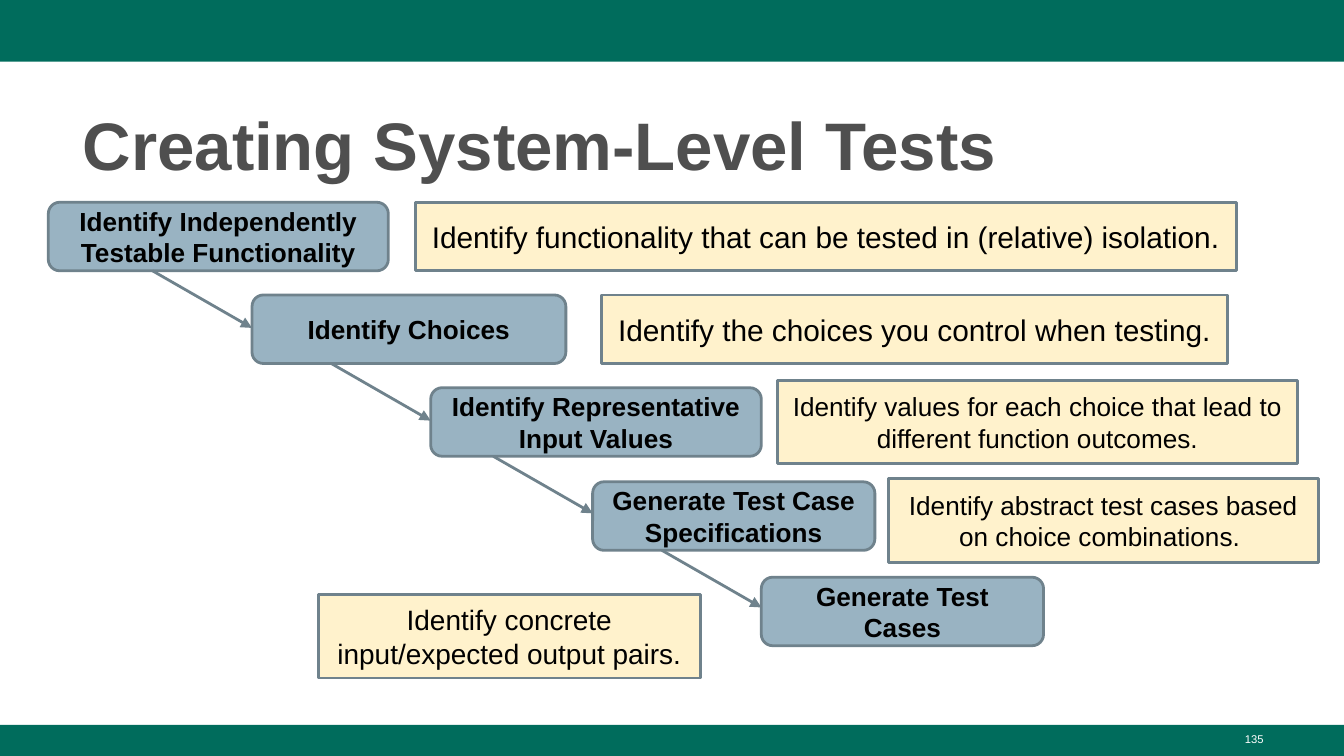
import pptx
import pptx.util
import pptx.dml.color
import pptx.enum.shapes
import pptx.enum.text
import pptx.oxml.ns
import lxml.etree

Kind = pptx.enum.shapes.MSO_SHAPE
Align = pptx.enum.text.PP_ALIGN
Anchor = pptx.enum.text.MSO_ANCHOR

# Content: 200 px to the inch
WIDE, HIGH = 2000, 1125
TITLE = "Creating System-Level Tests"
NUMBER = "135"
GREEN, BLUE, CREAM, EDGE = "006C5C", "99B3C2", "FFF2CC", "6F828C"
STEP_H = 102
RUN, DROP = 148, 85

# Steps: text, left, top, width
STEPS = [
    ("Identify Independently Testable Functionality", 72, 301, 506),
    ("Identify Choices", 375, 439, 467),
    ("Identify Representative Input Values", 641, 577, 492),
    ("Generate Test Case Specifications", 882, 717, 420),
    ("Generate Test Cases", 1133, 859, 420),
]
# Notes: text, box, text size
NOTES = [
    ("Identify functionality that can be tested in (relative) isolation.",
     (618, 301, 1222, 102), 16),
    ("Identify the choices you control when testing.",
     (895, 439, 932, 102), 16),
    ("Identify values for each choice that lead to different function outcomes.",
     (1157, 566, 774, 124), 14),
    ("Identify abstract test cases based on choice combinations. ",
     (1322, 712, 640, 125), 14),
    ("Identify concrete input/expected output pairs.",
     (474, 885, 568, 124), 15),
]


def px(n):
    return pptx.util.Emu(n * 4572)


def rgb(code):
    return pptx.dml.color.RGBColor.from_string(code)


def write(shape, text, size, color, bold=False, align=Align.CENTER,
          anchor=Anchor.MIDDLE, pad=20):
    frame = shape.text_frame
    frame.text = text
    frame.word_wrap = True
    frame.auto_size = pptx.enum.text.MSO_AUTO_SIZE.NONE
    frame.vertical_anchor = anchor
    frame.margin_left = frame.margin_right = px(20)
    frame.margin_top = frame.margin_bottom = px(pad)
    para = frame.paragraphs[0]
    para.alignment = align
    font = para.runs[0].font
    font.name, font.size, font.bold = "Arial", pptx.util.Pt(size), bold
    font.color.rgb = rgb(color)
    return para


def block(kind, box, fill, edge=None):
    shape = slide.shapes.add_shape(kind, *map(px, box))
    shape.shadow.inherit = False
    shape.fill.solid()
    shape.fill.fore_color.rgb = rgb(fill)
    if edge:
        shape.line.color.rgb = rgb(edge)
        shape.line.width = pptx.util.Pt(1.5)
    else:
        shape.line.fill.background()
    return shape


def arrow(*ends):
    line = slide.shapes.add_connector(
        pptx.enum.shapes.MSO_CONNECTOR.STRAIGHT, *map(px, ends))
    line.line.color.rgb = rgb(EDGE)
    line.line.width = pptx.util.Pt(1.5)
    qn = pptx.oxml.ns.qn
    lxml.etree.SubElement(line.line._get_or_add_ln(), qn("a:tailEnd"),
                          type="triangle")
    lxml.etree.SubElement(line._element.spPr, qn("a:effectLst"))


deck = pptx.Presentation()
deck.slide_width, deck.slide_height = px(WIDE), px(HIGH)
slide = deck.slides.add_slide(deck.slide_layouts[5])

# Bands
for top, high in [(0, 92), (1079, HIGH - 1079)]:
    block(Kind.RECTANGLE, (0, top, WIDE, high), GREEN)

# Title
title = slide.shapes.title
title.left, title.top, title.width, title.height = map(
    px, (103, 135, 1798, 146))
para = write(title, TITLE, 36, "4F4F4F", True, Align.LEFT, Anchor.BOTTOM, 7)
para.line_spacing = 1.08

# Steps
for text, left, top, wide in STEPS:
    step = block(Kind.ROUNDED_RECTANGLE, (left, top, wide, STEP_H), BLUE, EDGE)
    write(step, text, 14, "000000", True)

# Arrows from the foot of each step to the left side of the next
for (_, _, top, _), (_, left, _, _) in zip(STEPS, STEPS[1:]):
    foot = top + STEP_H
    arrow(left - RUN, foot, left, foot + DROP)

# Notes
for text, box, size in NOTES:
    write(block(Kind.RECTANGLE, box, CREAM, EDGE), text, size, "000000")

# Slide number
label = slide.shapes.add_textbox(*map(px, (1434, 1080, 466, 45)))
write(label, NUMBER, 6, "FFFFFF", False, Align.RIGHT, Anchor.TOP, 10)

deck.save("out.pptx")
